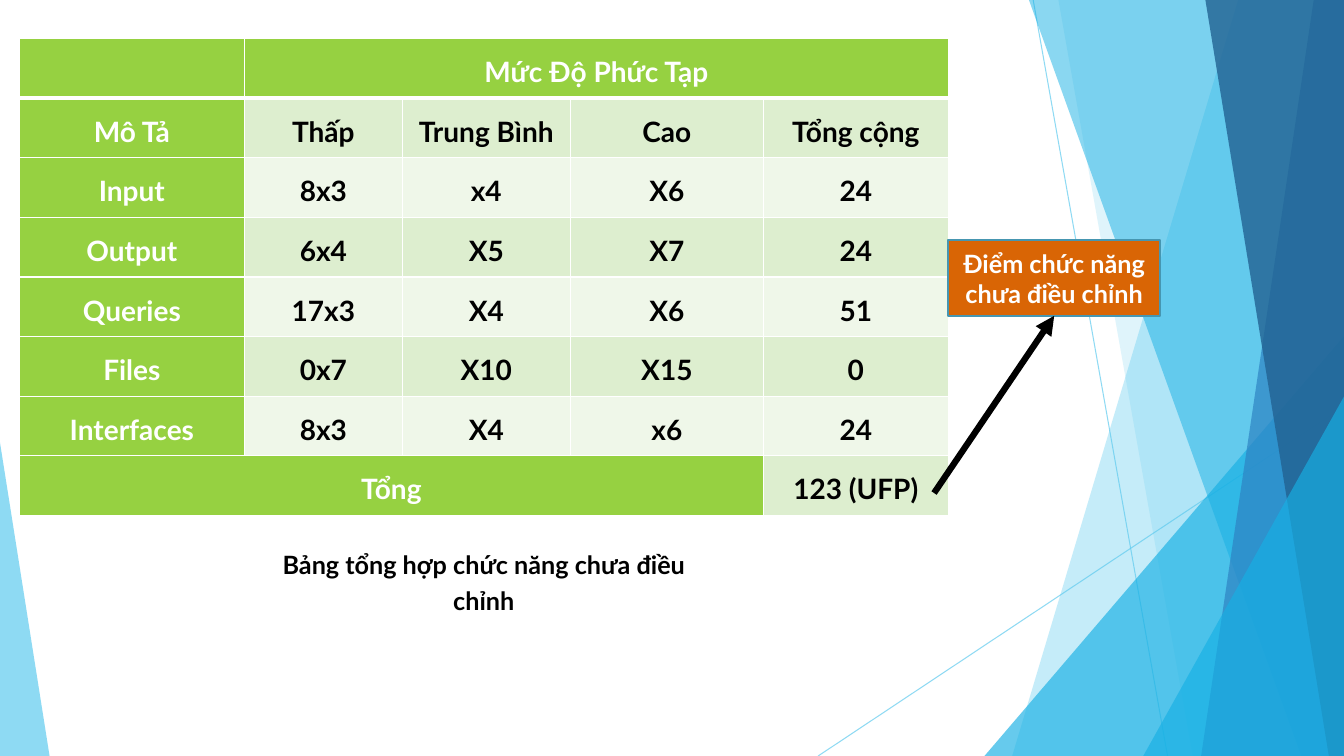
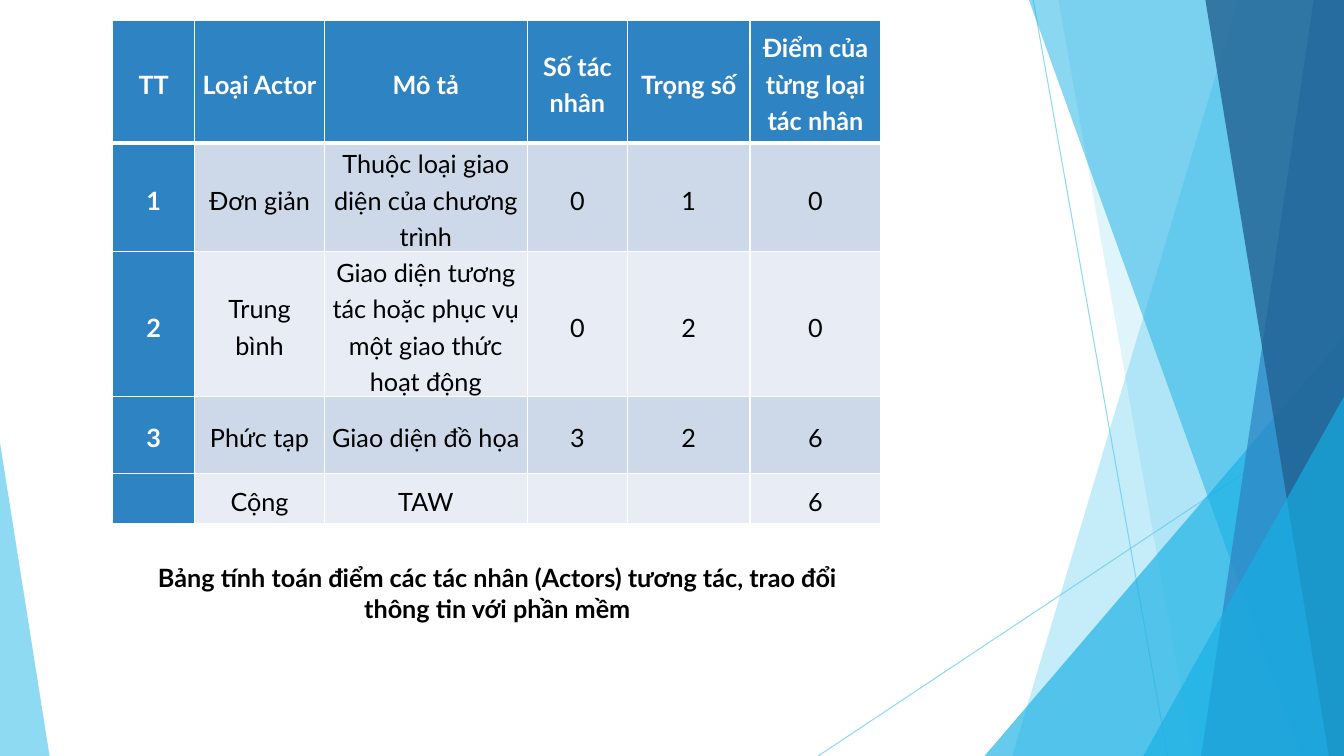
import pptx
import pptx.dml.color
import pptx.enum.shapes
import pptx.enum.text
import pptx.oxml.ns
import pptx.util
from lxml import etree

CELL = pptx.util.Inches(5 / 6)
COLUMNS, ROWS = 16, 9
FONT = "Lato"
WHITE, BLACK = "FFFFFF", "000000"
SKY, CYAN, BLUE, NAVY = "5FCBEF", "17B0E4", "2E83C3", "226292"
ORANGE, TEAL = "D96505", "4696B1"
GREEN_TABLE = ("96D141", "EFF7E9", "DDEECF")
BLUE_TABLE = (BLUE, "E8EDF5", "CDD9E9")
qn = pptx.oxml.ns.qn

RAYS = [((12.3, 0), (13.9, 9)), ((16, 4.84), (9.74, 9))]
PANES = [
    ("band", (14.74, 12.05), SKY, 36),
    ("band", (12.6, 14.2), SKY, 20),
    ("triangle", (11.72, 4, 4.28, 5, 1), CYAN, 66),
    ("band", (12.25, 15.49), CYAN, 50),
    ("band", (15.64, 14.3), BLUE, 70),
    ("band", (14.35, 15.82), NAVY, 80),
    ("triangle", (13.61, 4.72, 2.39, 4.28, 1), CYAN, 66),
    ("triangle", (0, 5.27, 0.59, 3.73, 0), SKY, 70),
]

COMPLEXITY = [
    ["", "Mức Độ Phức Tạp", None, None, None],
    ["Mô Tả", "Thấp", "Trung Bình", "Cao", "Tổng cộng"],
    ["Input", "8x3", "x4", "X6", "24"],
    ["Output", "6x4", "X5", "X7", "24"],
    ["Queries", "17x3", "X4", "X6", "51"],
    ["Files", "0x7", "X10", "X15", "0"],
    ["Interfaces", "8x3", "X4", "x6", "24"],
    ["Tổng", None, None, None, "123 (UFP)"],
]
ACTORS = [
    ["TT", "Loại Actor", "Mô tả", "Số tác nhân", "Trọng số", "Điểm của từng loại tác nhân"],
    ["1", "Đơn giản", "Thuộc loại giao diện của chương trình", "0", "1", "0"],
    ["2", "Trung bình", "Giao diện tương tác hoặc phục vụ một giao thức hoạt động", "0", "2", "0"],
    ["3", "Phức tạp", "Giao diện đồ họa", "3", "2", "6"],
    ["", "Cộng", "TAW", "", "", "6"],
]


def grid(*lengths):
    return [pptx.util.Emu(round(length * CELL)) for length in lengths]


def paint(fill, color, opacity=100):
    fill.solid()
    fill.fore_color.rgb = pptx.dml.color.RGBColor.from_string(color)
    if opacity < 100:
        rgb = fill._xPr.find(".//" + qn("a:srgbClr"))
        etree.SubElement(rgb, qn("a:alpha"), val=str(opacity * 1000))


def write(frame, text, size=18, color=BLACK, bold=True, leading=None, before=0, after=0):
    frame.word_wrap = True
    paragraph = frame.paragraphs[0]
    paragraph.alignment = pptx.enum.text.PP_ALIGN.CENTER
    paragraph.line_spacing = leading
    paragraph.space_before = pptx.util.Pt(before)
    paragraph.space_after = pptx.util.Pt(after)
    paragraph.font.size = pptx.util.Pt(size)
    if text:
        run = paragraph.add_run()
        run.text = text
        run.font.name = FONT
        run.font.size = pptx.util.Pt(size)
        run.font.bold = bold
        paint(run.font.fill, color)


def rule_cell(cell, heavy_side):
    properties = cell._tc.get_or_add_tcPr()
    for position, side in enumerate(("L", "R", "T", "B")):
        width = pptx.util.Pt(3 if side == heavy_side else 1)
        edge = etree.Element(qn(f"a:ln{side}"), w=str(width))
        solid = etree.SubElement(edge, qn("a:solidFill"))
        etree.SubElement(solid, qn("a:srgbClr"), val=WHITE)
        properties.insert(position, edge)


class Deck:
    def __init__(self):
        self.presentation = pptx.Presentation()
        self.presentation.slide_width, self.presentation.slide_height = grid(COLUMNS, ROWS)
        self.layout = self.presentation.slide_layouts[6]
        for holder in list(self.layout.placeholders):
            self.layout.shapes.element.remove(holder.element)
        self.slide = None

    def add_slide(self):
        self.slide = self.presentation.slides.add_slide(self.layout)
        if len(self.presentation.slides) == 1:
            self.decorate_layout()

    def decorate_layout(self):
        decoration = [self.line(start, end, SKY, 0.75, opacity=70) for start, end in RAYS]
        for kind, geometry, color, opacity in PANES:
            draw = self.band if kind == "band" else self.triangle
            decoration.append(self.pane(draw(*geometry), color, opacity))
        for part in decoration:
            self.layout.shapes.element.append(part.element)

    def band(self, top, bottom):
        outline = self.slide.shapes.build_freeform(*grid(top, 0), scale=1.0)
        corners = [(COLUMNS, 0), (COLUMNS, ROWS), (bottom, ROWS)]
        outline.add_line_segments([grid(*corner) for corner in corners], close=True)
        return outline.convert_to_shape()

    def triangle(self, left, top, width, height, apex):
        shape = self.slide.shapes.add_shape(
            pptx.enum.shapes.MSO_SHAPE.ISOSCELES_TRIANGLE, *grid(left, top, width, height))
        shape.adjustments[0] = apex
        return shape

    def pane(self, shape, color, opacity):
        shape.shadow.inherit = False
        paint(shape.fill, color, opacity)
        shape.line.fill.background()
        return shape

    def line(self, start, end, color, width, opacity=100, arrow=False):
        connector = self.slide.shapes.add_connector(
            pptx.enum.shapes.MSO_CONNECTOR.STRAIGHT, *grid(*start, *end))
        connector.line.width = pptx.util.Pt(width)
        paint(connector.line.fill, color, opacity)
        properties = connector.element.spPr
        if arrow:
            etree.SubElement(properties.find(qn("a:ln")), qn("a:tailEnd"), type="triangle")
        etree.SubElement(properties, qn("a:effectLst"))
        return connector

    def caption(self, text, box, **text_format):
        frame = self.slide.shapes.add_textbox(*grid(*box)).text_frame
        frame.auto_size = pptx.enum.text.MSO_AUTO_SIZE.SHAPE_TO_FIT_TEXT
        write(frame, text, **text_format)

    def callout(self, text, box):
        shape = self.slide.shapes.add_shape(
            pptx.enum.shapes.MSO_SHAPE.RECTANGLE, *grid(*box))
        shape.shadow.inherit = False
        paint(shape.fill, ORANGE)
        paint(shape.line.fill, TEAL)
        shape.line.width = pptx.util.Pt(1.5)
        shape.text_frame.vertical_anchor = pptx.enum.text.MSO_ANCHOR.MIDDLE
        write(shape.text_frame, text, color=WHITE)
        return shape

    def table(self, content, corner, widths, heights, palette, bold_body, **text_format):
        table = self.slide.shapes.add_table(
            len(heights), len(widths), *grid(*corner, sum(widths), sum(heights))).table
        for column, width in zip(table.columns, grid(*widths)):
            column.width = width
        for row, height in zip(table.rows, grid(*heights)):
            row.height = height
        accent, *stripes = palette
        for r, texts in enumerate(content):
            for c, text in enumerate(texts):
                cell = table.cell(r, c)
                heading = r == 0 or c == 0
                paint(cell.fill, accent if heading else stripes[r % 2])
                rule_cell(cell, {0: "B", 1: "T"}.get(r))
                cell.vertical_anchor = pptx.enum.text.MSO_ANCHOR.MIDDLE
                cell.margin_left, cell.margin_right, cell.margin_top, cell.margin_bottom = grid(
                    0.08, 0.08, 0, 0)
                if text is not None:
                    write(cell.text_frame, text, color=WHITE if heading else BLACK,
                          bold=heading or bold_body, leading=1.2, before=6, **text_format)
            spanned = [c for c, text in enumerate(texts) if text is None]
            if spanned:
                table.cell(r, spanned[0] - 1).merge(table.cell(r, spanned[-1]))


def main():
    deck = Deck()

    deck.add_slide()
    deck.table(COMPLEXITY, (0.23, 0.46), (2.68, 1.88, 2, 2.3, 2.2), [0.71] * len(COMPLEXITY),
               GREEN_TABLE, True, size=20)
    deck.caption("Bảng tổng hợp chức năng chưa điều chỉnh", (2.99, 6.41, 5.54, 0.55),
                 leading=1.2, before=6)
    unadjusted_points = deck.callout("Điểm chức năng chưa điều chỉnh", (11.29, 2.86, 2.52, 0.9))
    total_arrow = deck.line((11.12, 5.87), (12.55, 3.76), BLACK, 4.5, arrow=True)
    total_arrow.end_connect(unadjusted_points, 2)

    deck.add_slide()
    deck.caption("Bảng tính toán điểm các tác nhân (Actors) tương tác, trao đổi thông tin với phần mềm",
                 (1.34, 6.64, 9.16, 0.85))
    deck.table(ACTORS, (1.34, 0.24), (0.98, 1.54, 2.42, 1.19, 1.46, 1.56),
               (1.46, 0.97, 1.46, 0.91, 0.6), BLUE_TABLE, False, after=6)

    deck.presentation.save("out.pptx")


if __name__ == "__main__":
    main()
